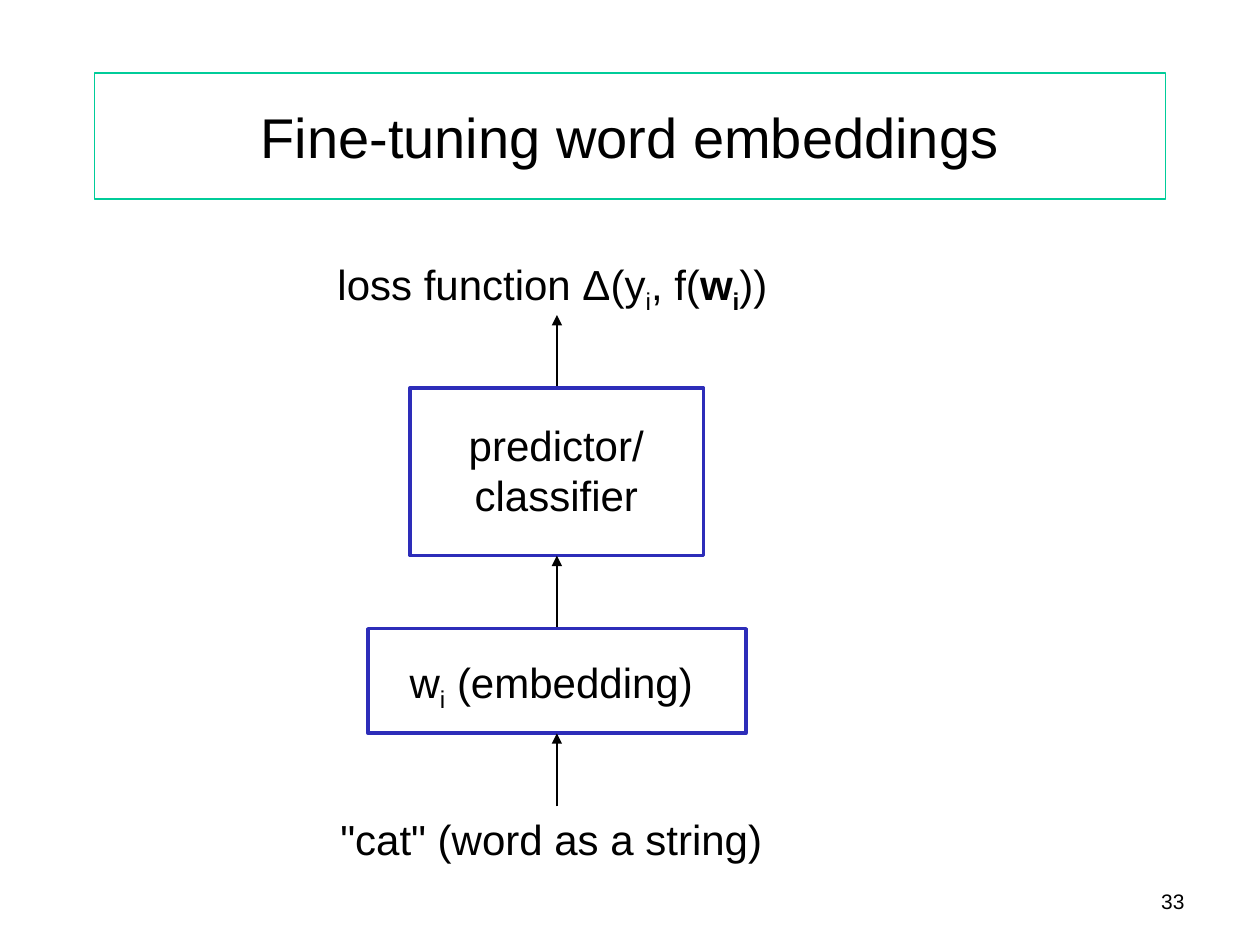
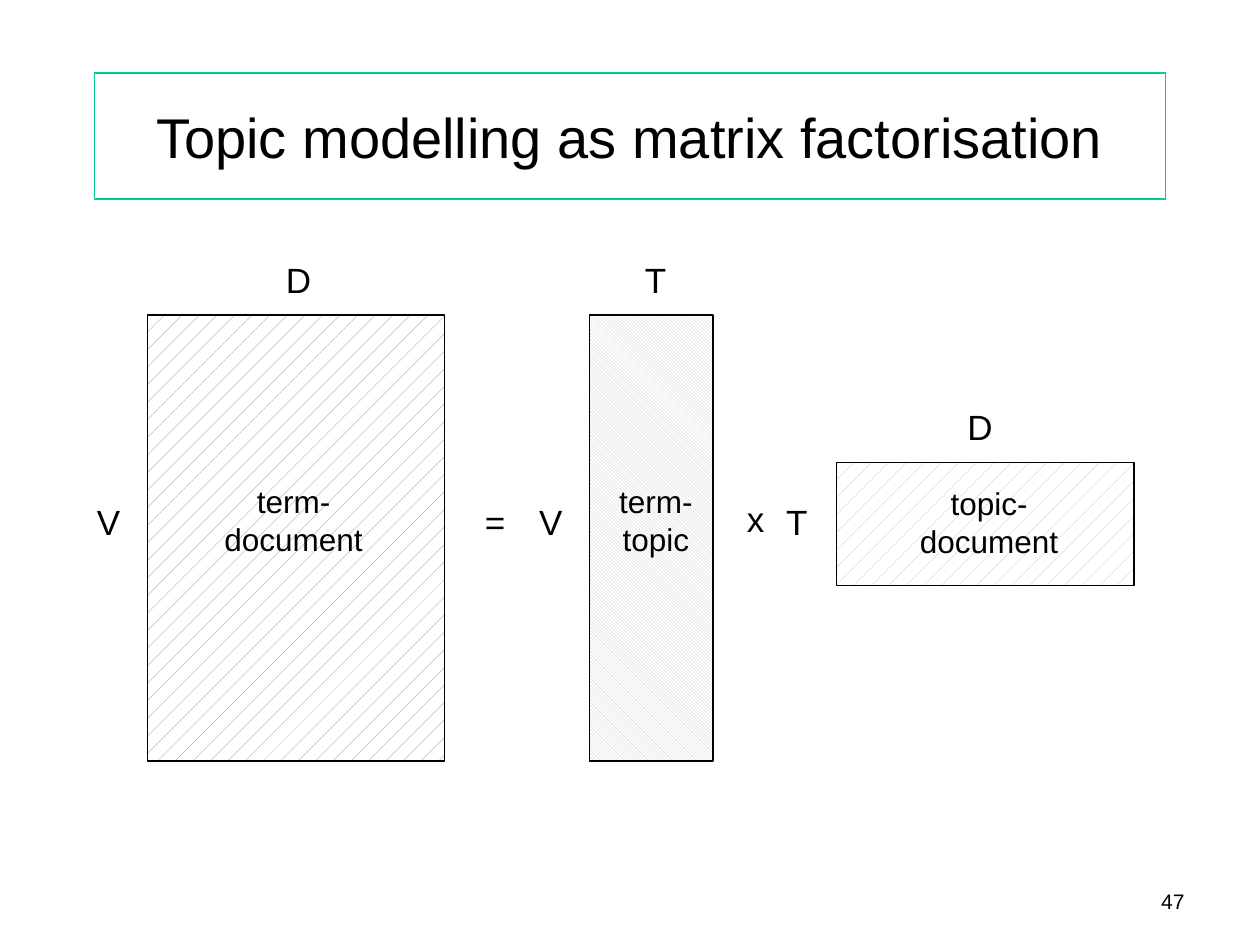
import pptx
import pptx.util
import pptx.dml.color
import pptx.enum.dml
import pptx.enum.shapes
import pptx.enum.text
from dataclasses import dataclass
from lxml import etree
from pptx.oxml.ns import qn

Shape = pptx.enum.shapes.MSO_SHAPE
Align = pptx.enum.text.PP_ALIGN
Anchor = pptx.enum.text.MSO_ANCHOR
Hatch = pptx.enum.dml.MSO_PATTERN
inch = pptx.util.Inches


@dataclass(frozen=True)
class Theme:
    font: str = "Arial"
    ink: str = "000000"
    paper: str = "FFFFFF"
    frame: str = "00CC99"
    blue: str = "2D2DB9"
    dark: str = "808080"
    light: str = "BFBFBF"
    head: int = 32
    body: int = 24
    sign: int = 20
    name: int = 18
    foot: int = 12


THEME = Theme()
SIZE = (10, 7.5)

# Runs are (text, style): "" plain, "b" bold, "s" subscript, "bs" both.
TUNING = {
    "title": "Fine-tuning word embeddings",
    "page": "33",
    "axis": 4.42,
    "top": 2.5,
    "gap": 0.58,
    "boxes": [(2.33, 1.33), (3, 0.83)],  # width, height, from the top down
    "labels": [
        ((2.58, 2, 4.08, 0.5), Align.LEFT,
         [("loss function Δ(y", ""), ("i", "s"), (", f(", ""),
          ("w", "b"), ("i", "bs"), ("))", "")]),
        ((3, 5.16, 2.75, 0.5), Align.CENTER,
         [("w", ""), ("i", "s"), (" (embedding)", "")]),
        ((2.25, 6.41, 4.25, 0.5), Align.CENTER,
         [('"cat" (word as a string)', "")]),
    ],
    "inner": ((3.5, 3.25, 1.83, 0.97), "predictor/classifier"),
}

SPANS = {"D": 2.36, "V": 3.54, "T": 0.98}  # inches per matrix dimension
TOPIC = {
    "title": "Topic modelling as matrix factorisation",
    "page": "47",
    # name, name area, left and top, rows, columns, column label left, hatch
    "parts": [
        ("term-document", (1.54, 3.78, 1.58), (1.17, 2.5), "V", "D", 2.17,
         Hatch.PERCENT_5, THEME.dark),
        ("term-topic", (4.81, 3.78, 0.79), (4.68, 2.5), "V", "T", 5.02,
         Hatch.LIGHT_DOWNWARD_DIAGONAL, THEME.light),
        ("topic-document", (7.08, 3.79, 1.54), (6.64, 3.67), "T", "D", 7.58,
         Hatch.PERCENT_5, THEME.light),
    ],
    "signs": [("=", 3.75, 3.92), ("x", 5.83, 3.9)],
    "mid": 3.92,
    "shift": 0.5,  # from a matrix edge to its label
}


def color(code):
    return pptx.dml.color.RGBColor.from_string(code)


def write(shape, runs, size, align=Align.LEFT, anchor=Anchor.TOP, pad=(0.1, 0.05)):
    frame = shape.text_frame
    frame.word_wrap = True
    frame.vertical_anchor = anchor
    frame.margin_left = frame.margin_right = inch(pad[0])
    frame.margin_top = frame.margin_bottom = inch(pad[1])
    para = frame.paragraphs[0]
    para.alignment = align
    for text, style in runs:
        run = para.add_run()
        run.text = text
        run.font.name = THEME.font
        run.font.size = pptx.util.Pt(size)
        run.font.color.rgb = color(THEME.ink)
        run.font.bold = "b" in style
        if "s" in style:
            run.font._element.set("baseline", "-25000")


def label(slide, area, runs, size, align=Align.LEFT, pad=(0.1, 0.05)):
    box = slide.shapes.add_textbox(*map(inch, area))
    write(box, runs, size, align, pad=pad)


def block(slide, area, line, width):
    """Add an unfilled, outlined rectangle."""
    rect = slide.shapes.add_shape(Shape.RECTANGLE, *map(inch, area))
    rect.shadow.inherit = False
    rect.fill.background()
    rect.line.color.rgb = color(line)
    rect.line.width = pptx.util.Pt(width)
    return rect


def arrow(slide, x, top, bottom):
    """Add an upward arrow."""
    link = slide.shapes.add_connector(
        pptx.enum.shapes.MSO_CONNECTOR.STRAIGHT,
        *map(inch, (x, bottom, x, top)))
    link.line.color.rgb = color(THEME.ink)
    link.line.width = pptx.util.Pt(1)
    etree.SubElement(link.line._get_or_add_ln(), qn("a:tailEnd"), type="triangle")
    etree.SubElement(link._element.spPr, qn("a:effectLst"))


def start(deck, data):
    """Add a slide with the shared title frame and page number."""
    slide = deck.slides.add_slide(deck.slide_layouts[6])
    title = block(slide, (0.75, 0.58, 8.5, 1), THEME.frame, 0.75)
    write(title, [(data["title"], "")], THEME.head, Align.CENTER, Anchor.MIDDLE)
    label(slide, (9, 7, 0.5, 0.33), [(data["page"], "")], THEME.foot, Align.RIGHT)
    return slide


def tuning(deck, data):
    slide = start(deck, data)
    x, y, gap = data["axis"], data["top"], data["gap"]
    for wide, high in data["boxes"]:
        arrow(slide, x, y, y + gap)
        block(slide, (x - wide / 2, y + gap, wide, high), THEME.blue, 2)
        y += gap + high
    arrow(slide, x, y, y + gap)
    for area, align, runs in data["labels"]:
        label(slide, area, runs, THEME.body, align)
    area, text = data["inner"]
    label(slide, area, [(text, "")], THEME.body, Align.CENTER, (0.16, 0.08))


def topic(deck, data):
    slide = start(deck, data)
    signs = list(data["signs"])
    for name, spot, (x, y), rows, cols, left, hatch, tone in data["parts"]:
        rect = block(slide, (x, y, SPANS[cols], SPANS[rows]), THEME.ink, 0.75)
        rect.fill.patterned()
        rect.fill.pattern = hatch
        rect.fill.fore_color.rgb = color(tone)
        rect.fill.back_color.rgb = color(THEME.paper)
        label(slide, (*spot, 0.71), [(name, "")], THEME.name, Align.CENTER)
        signs += [(rows, x - data["shift"], data["mid"]),
                  (cols, left, y - data["shift"])]
    for text, x, y in signs:
        label(slide, (x, y, 0.42, 0.44), [(text, "")], THEME.sign)


def main():
    deck = pptx.Presentation()
    deck.slide_width, deck.slide_height = map(inch, SIZE)
    tuning(deck, TUNING)
    topic(deck, TOPIC)
    deck.save("out.pptx")


if __name__ == "__main__":
    main()
